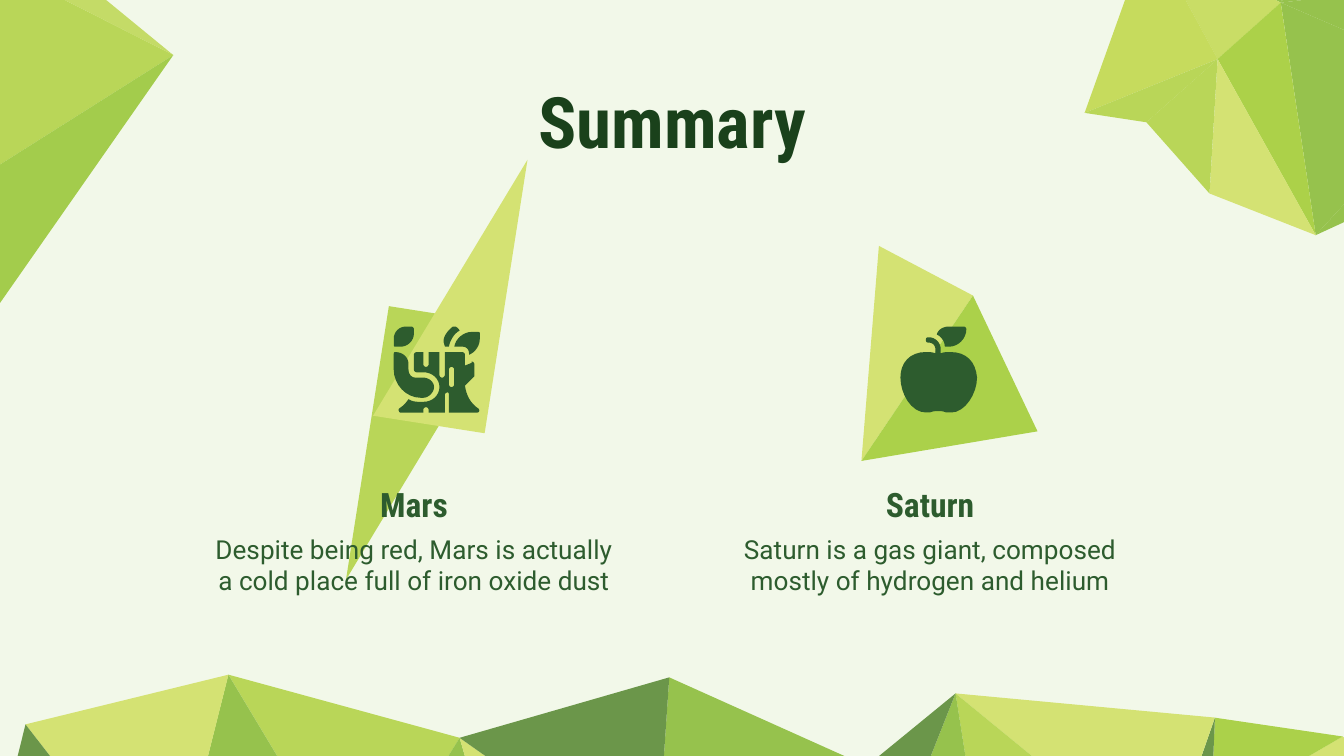
from pptx import Presentation
from pptx.dml.color import RGBColor
from pptx.enum import shapes, text
from pptx.util import Pt

PALE = RGBColor(0xF2, 0xF8, 0xE9)
STRAW = RGBColor(0xD4, 0xE2, 0x73)
PEAR = RGBColor(0xC9, 0xDD, 0x66)
CITRUS = RGBColor(0xC6, 0xDB, 0x5D)
SPROUT = RGBColor(0xC4, 0xDB, 0x67)
LIME = RGBColor(0xB9, 0xD6, 0x58)
GRASS = RGBColor(0xAC, 0xD1, 0x49)
MEADOW = RGBColor(0xAB, 0xD1, 0x4A)
CLOVER = RGBColor(0xA3, 0xCC, 0x4C)
LEAF = RGBColor(0x96, 0xC2, 0x4D)
MOSS = RGBColor(0x6B, 0x96, 0x4A)
FOREST = RGBColor(0x2D, 0x5C, 0x2E)
PINE = RGBColor(0x1A, 0x41, 0x1B)

GRID = Pt(0.72)  # one step of the outline coordinates
CURVE_STEPS = 8
COLUMN_STEP = 276.5

# Outlines: each word is a point "x,y" or a Bézier curve "x1,y1,x2,y2,x,y".
RIGHT_CORNER = [
    (LEAF, "979,175 1085,59 1079,129"),
    (LEAF, "855,-50 967,-49 953,2"),
    (LEAF, "979,175 1085,59 953,2"),
    (LEAF, "1062,-11 1085,59 953,2"),
    (PEAR, "855,-50 953,2 906,44"),
    (GRASS, "953,2 979,175 906,44"),
    (STRAW, "906,44 979,175 900,144"),
    (CITRUS, "855,-50 906,44 807,84"),
    (LIME, "807,84 906,44 853,91"),
    (LIME, "900,144 906,44 853,91"),
    (LEAF, "953,2 967,-49 997,-49"),
    (LEAF, "953,2 1062,-11 997,-49"),
]
BOTTOM_RIDGE = [
    (LIME, "342,549 269,667 170,502"),
    (LEAF, "269,667 126,677 170,502"),
    (STRAW, "1042,581 901,605 999,548"),
    (LEAF, "342,549 269,667 389,711"),
    (STRAW, "488,652 342,549 389,711"),
    (LEAF, "645,570 488,652 498,504"),
    (MOSS, "498,504 488,652 342,549"),
    (STRAW, "170,502 126,677 19,539"),
    (MOSS, "126,677 -21,700 19,539"),
    (MEADOW, "999,548 901,605 904,534"),
    (MOSS, "901,605 866,643 904,534"),
    (STRAW, "904,534 866,643 711,516"),
    (LIME, "866,643 739,694 711,516"),
    (LEAF, "739,694 664,635 711,516"),
    (MOSS, "664,635 645,570 711,516"),
]
LEFT_CORNER = [
    (LIME, "-15,-32 -61,161 129,41"),
    (CLOVER, "-61,161 -87,350 129,41"),
    (SPROUT, "-15,-32 129,41 -10,-73"),
]
APPLE_BACKDROP = [
    (STRAW, "654,183 641,343 724,220"),
    (MEADOW, "724,220 641,343 772,321"),
]

APPLE_LEAF = ["706,243 702,243,698,245,697,249 700,250,703,254,703,258 "
              "704,258,705,258,706,258 713,258,719,252,719,245 719,244,718,243,717,243"]
APPLE_FRUIT = ["691,251 689,251,689,252,689,253 689,254,689,255,691,255 "
               "694,255,696,257,696,260 696,263 694,262,691,262,689,262 "
               "677,262,670,270,670,281 670,293,678,307,689,307 690,307,691,307,692,307 "
               "694,306,696,306,698,306 700,306,702,306,704,307 705,307,706,307,708,307 "
               "718,307,727,293,727,281 726,269,719,262,707,262 705,262,702,262,700,263 "
               "700,260 700,255,696,251,691,251"]
STUMP = ["336,273 337,273,338,274,338,275 338,286 338,287,337,288,336,288 "
         "335,288,334,287,334,286 334,275 334,274,335,273,336,273",
         "310,262 309,262,308,263,308,264 308,275 308,276,309,277,310,277 315,277 "
         "322,277,327,282,327,288 327,294,322,299,315,299 314,299 310,299,307,299,304,297 "
         "302,300,300,302,297,304 297,304,296,305,297,306 297,307,298,307,298,307 315,307 "
         "315,305 315,304,316,303,317,303 318,303,319,304,319,305 319,307 331,307 331,294 "
         "331,293,332,292,333,292 334,292,334,293,334,294 334,307 355,307 "
         "357,307,357,305,356,304 350,300,347,294,346,287 353,280 353,280,353,279,353,279 "
         "353,271 353,270,352,269,351,269 351,269,351,270,351,270 346,272 346,264 "
         "346,263,345,262,344,262 331,262 331,279 331,280,330,281,329,281 "
         "328,281,327,280,327,279 327,262 319,262 319,271 319,272,318,273,317,273 "
         "316,273,315,272,315,271 315,262"]
ROOT = ["294,262 293,262,293,263,293,264 293,275 293,286,302,296,313,296 315,296 "
        "319,296,323,292,323,288 323,284,319,281,315,281 309,281 306,281,304,278,304,275 "
        "304,271 304,266,300,262,294,262"]
STEM = ["338,243 338,243,337,243,337,243 337,243,330,248,330,254 330,255,331,257,331,258 "
        "334,258 335,253,338,248,342,246 341,244,339,243,339,243 339,243,338,243,338,243"]
RIGHT_LEAF = ["351,247 345,247,339,252,338,258 344,258 347,258,349,260,349,263 349,264 "
              "354,262,357,257,357,252 357,248 357,247,356,247,355,247"]
LEFT_LEAF = ["302,243 297,243,293,247,293,252 293,256 293,257,293,258,294,258 298,258 "
             "303,258,308,254,308,248 308,245 308,244,307,243,306,243"]


def trace(outline):
    """Turn an outline string into points, with its curves cut into short lines."""
    points = []
    for word in outline.split():
        values = [int(value) for value in word.split(",")]
        if len(values) == 2:
            points.append(values)
            continue
        knots = [points[-1], values[:2], values[2:4], values[4:]]
        for step in range(1, CURVE_STEPS + 1):
            t = step / CURVE_STEPS
            weights = ((1 - t) ** 3, 3 * t * (1 - t) ** 2, 3 * t * t * (1 - t), t ** 3)
            points.append([sum(w * knot[axis] for w, knot in zip(weights, knots))
                           for axis in (0, 1)])
    return [(x * GRID, y * GRID) for x, y in points]


class Painter:
    heading_font = "Roboto Condensed"
    body_font = "Roboto"

    def __init__(self, page):
        self.page = page
        page.background.fill.solid()
        page.background.fill.fore_color.rgb = PALE

    def paint(self, shape, color):
        shape.shadow.inherit = False
        shape.fill.solid()
        shape.fill.fore_color.rgb = color
        shape.line.fill.background()

    def outline(self, contours, color):
        first, *others = [trace(contour) for contour in contours]
        builder = self.page.shapes.build_freeform(*first[0], scale=1.0)
        builder.add_line_segments(first[1:], close=True)
        for points in others:
            builder.move_to(*points[0])
            builder.add_line_segments(points[1:], close=True)
        self.paint(builder.convert_to_shape(), color)

    def facets(self, mesh):
        for color, triangle in mesh:
            self.outline([triangle], color)

    def spike(self, left, top, rotation, color):
        shape = self.page.shapes.add_shape(
            shapes.MSO_SHAPE.RIGHT_TRIANGLE, Pt(left), Pt(top), Pt(60.5), Pt(148.3))
        shape.rotation = rotation
        shape.element.spPr.xfrm.set("flipH", "1")
        self.paint(shape, color)

    def label(self, words, left, top, width, size, color=FOREST, heading=True,
              anchor=text.MSO_ANCHOR.TOP):
        box = self.page.shapes.add_textbox(Pt(left), Pt(top), Pt(width), Pt(56.5))
        frame = box.text_frame
        frame.word_wrap = True
        frame.vertical_anchor = anchor
        frame.margin_left = frame.margin_right = Pt(7.2)
        frame.margin_top = frame.margin_bottom = Pt(7.2)
        frame.text = words
        para = frame.paragraphs[0]
        para.alignment = text.PP_ALIGN.CENTER
        font = para.runs[0].font
        font.name = self.heading_font if heading else self.body_font
        font.size = Pt(size)
        font.bold = heading
        font.color.rgb = color


def main():
    deck = Presentation()
    deck.slide_width, deck.slide_height = Pt(720), Pt(405)
    painter = Painter(deck.slides.add_slide(deck.slide_layouts[6]))

    for mesh in (RIGHT_CORNER, BOTTOM_RIDGE, LEFT_CORNER):
        painter.facets(mesh)
    painter.spike(196.5, 167.8, 188.9, LIME)
    painter.spike(211, 80, 8.9, STRAW)
    painter.facets(APPLE_BACKDROP)

    painter.label("Summary", 46.8, 34.5, 627, 38, PINE)
    planets = [
        ("Mars", "Despite being red, Mars is actually a cold place full of iron oxide dust"),
        ("Saturn", "Saturn is a gas giant, composed mostly of hydrogen and helium"),
    ]
    for column, (planet, description) in enumerate(planets):
        shift = column * COLUMN_STEP
        painter.label(planet, 110.8 + shift, 242, 222, 18, anchor=text.MSO_ANCHOR.MIDDLE)
        painter.label(description, 104.4 + shift, 278.6, 234.8, 14, heading=False)

    for part in (APPLE_LEAF, APPLE_FRUIT, STUMP, ROOT, STEM, RIGHT_LEAF, LEFT_LEAF):
        painter.outline(part, FOREST)
    deck.save("out.pptx")


if __name__ == "__main__":
    main()
